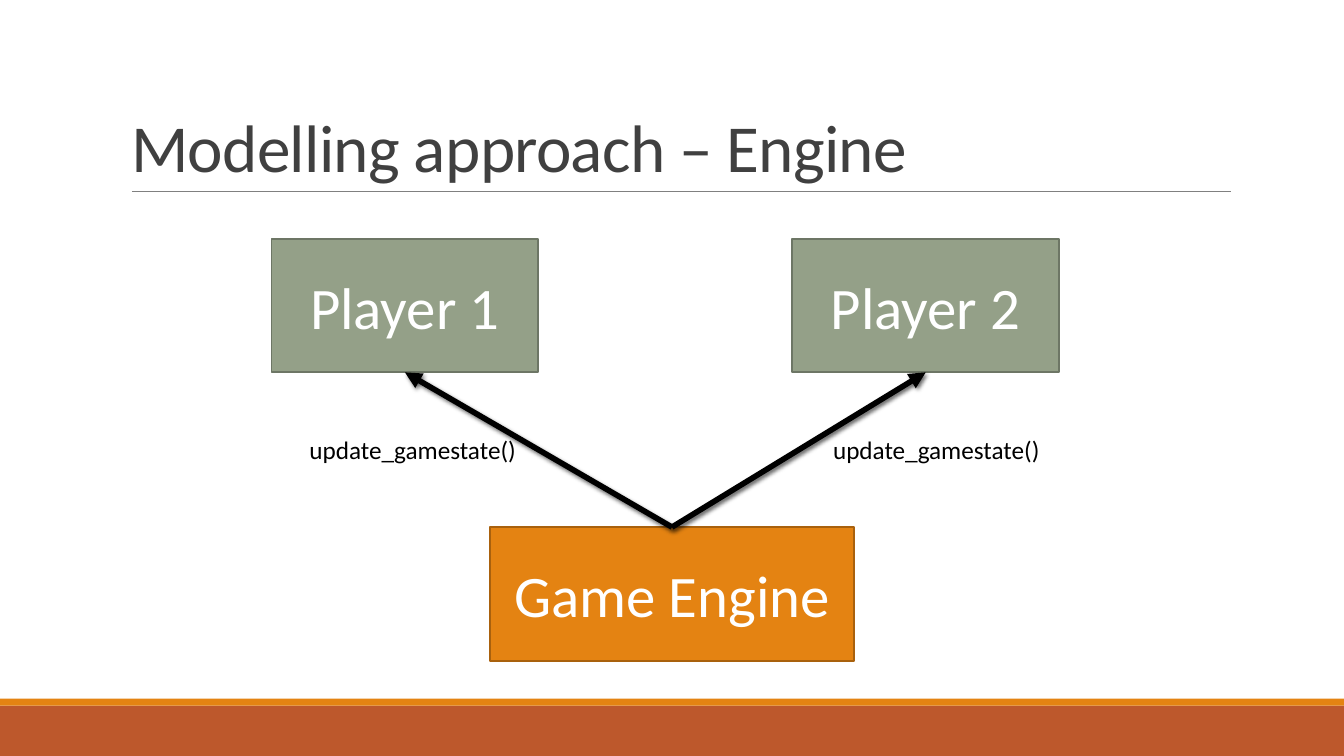
from dataclasses import dataclass

from lxml import etree
from pptx import Presentation
from pptx.dml.color import RGBColor
from pptx.enum.shapes import MSO_CONNECTOR, MSO_SHAPE
from pptx.enum.text import MSO_ANCHOR, MSO_AUTO_SIZE, PP_ALIGN
from pptx.oxml.ns import qn
from pptx.shapes.autoshape import Shape
from pptx.shapes.connector import Connector
from pptx.slide import Slide
from pptx.text.text import TextFrame
from pptx.util import Pt

RECT = MSO_SHAPE.RECTANGLE
STRAIGHT = MSO_CONNECTOR.STRAIGHT
LEFT, CENTER = PP_ALIGN.LEFT, PP_ALIGN.CENTER
TOP, MIDDLE, BOTTOM = MSO_ANCHOR.TOP, MSO_ANCHOR.MIDDLE, MSO_ANCHOR.BOTTOM
NO_FIT, GROW = MSO_AUTO_SIZE.NONE, MSO_AUTO_SIZE.SHAPE_TO_FIT_TEXT
TOP_SITE, BOTTOM_SITE = 0, 2
WIDTH, HEIGHT = 960, 540


@dataclass(frozen=True)
class Theme:
    font: str = "Calibri"
    title_size: float = 48
    box_size: float = 42
    label_size: float = 18
    title: str = "404040"
    white: str = "FFFFFF"
    black: str = "000000"
    rule: str = "808080"
    rust: str = "BD582C"
    orange: str = "E48312"
    orange_edge: str = "A9610D"
    sage: str = "94A088"
    sage_edge: str = "6D7665"


@dataclass(frozen=True)
class Box:
    left: float
    top: float
    width: float
    height: float
    fill: str
    edge: str = ""
    text: str = ""


@dataclass(frozen=True)
class Label:
    left: float
    text: str


THEME = Theme()
BANDS = [
    Box(0, 504, WIDTH, 36, THEME.rust),
    Box(0, 499, WIDTH, 5, THEME.orange),
]
ENGINE = Box(350, 376.5, 260, 95.5, THEME.orange, THEME.orange_edge, "Game Engine")
PLAYERS = [
    Box(left, 170.5, 190.5, 95.5, THEME.sage, THEME.sage_edge, f"Player {number}")
    for number, left in enumerate((194, 566), start=1)
]
LABELS = [Label(left, "update_gamestate()") for left in (214, 588)]


def rgb(value: str) -> RGBColor:
    return RGBColor.from_string(value)


def write(tf: TextFrame, text: str, size: float, color: str,
          align: PP_ALIGN, anchor: MSO_ANCHOR) -> None:
    tf.word_wrap = True
    tf.vertical_anchor = anchor
    p = tf.paragraphs[0]
    p.alignment = align
    r = p.add_run()
    r.text = text
    r.font.name = THEME.font
    r.font.size = Pt(size)
    r.font.color.rgb = rgb(color)


def add_box(s: Slide, box: Box) -> Shape:
    sp = s.shapes.add_shape(RECT, Pt(box.left), Pt(box.top), Pt(box.width), Pt(box.height))
    sp.shadow.inherit = False
    sp.fill.solid()
    sp.fill.fore_color.rgb = rgb(box.fill)
    if box.edge:
        sp.line.color.rgb = rgb(box.edge)
        sp.line.width = Pt(1.25)
    else:
        sp.line.fill.background()
    if box.text:
        write(sp.text_frame, box.text, THEME.box_size, THEME.white, CENTER, MIDDLE)
    return sp


def add_line(s: Slide, x1: float, y1: float, x2: float, y2: float,
             color: str, width: float) -> tuple[Connector, etree._Element]:
    """Draw a line and return it with its empty effect list."""
    line = s.shapes.add_connector(STRAIGHT, Pt(x1), Pt(y1), Pt(x2), Pt(y2))
    line.line.color.rgb = rgb(color)
    line.line.width = Pt(width)
    effects = etree.SubElement(line.element.spPr, qn("a:effectLst"))
    return line, effects


def add_arrow(s: Slide, start: Shape, end: Shape) -> None:
    arrow, effects = add_line(s, 0, 0, 0, 0, THEME.black, 4)
    arrow.begin_connect(start, TOP_SITE)
    arrow.end_connect(end, BOTTOM_SITE)
    etree.SubElement(arrow.element.spPr.find(qn("a:ln")), qn("a:tailEnd"), type="triangle")
    shadow = etree.SubElement(effects, qn("a:outerShdw"), blurRad=str(Pt(3)),
                              dist=str(Pt(2)), dir=str(45 * 60000), rotWithShape="0")
    color = etree.SubElement(shadow, qn("a:srgbClr"), val=THEME.black)
    etree.SubElement(color, qn("a:alpha"), val="60000")


def add_label(s: Slide, label: Label) -> None:
    sp = s.shapes.add_textbox(Pt(label.left), Pt(306.5), Pt(180), Pt(29))
    write(sp.text_frame, label.text, THEME.label_size, THEME.black, LEFT, TOP)
    sp.text_frame.auto_size = GROW


def add_title(s: Slide, text: str) -> None:
    sp = s.shapes.title
    sp.left, sp.top, sp.width, sp.height = Pt(86.4), Pt(22.5), Pt(792), Pt(114.3)
    tf = sp.text_frame
    write(tf, text, THEME.title_size, THEME.title, LEFT, BOTTOM)
    tf.auto_size = NO_FIT
    tf.paragraphs[0].line_spacing = 0.85
    for props in sp.element.iter(qn("a:rPr")):
        props.set("spc", "-50")


def main() -> None:
    prs = Presentation()
    prs.slide_width, prs.slide_height = Pt(WIDTH), Pt(HEIGHT)
    s = prs.slides.add_slide(prs.slide_layouts[5])

    # Footer bands, title and rule
    for band in BANDS:
        add_box(s, band)
    add_line(s, 94.3, 136.8, 879, 136.8, THEME.rule, 0.5)
    add_title(s, "Modelling approach – Engine")

    # Engine, players and the calls between them
    engine = add_box(s, ENGINE)
    players = [add_box(s, player) for player in PLAYERS]
    for player in players:
        add_arrow(s, engine, player)
    for label in LABELS:
        add_label(s, label)

    prs.save("out.pptx")


if __name__ == "__main__":
    main()
